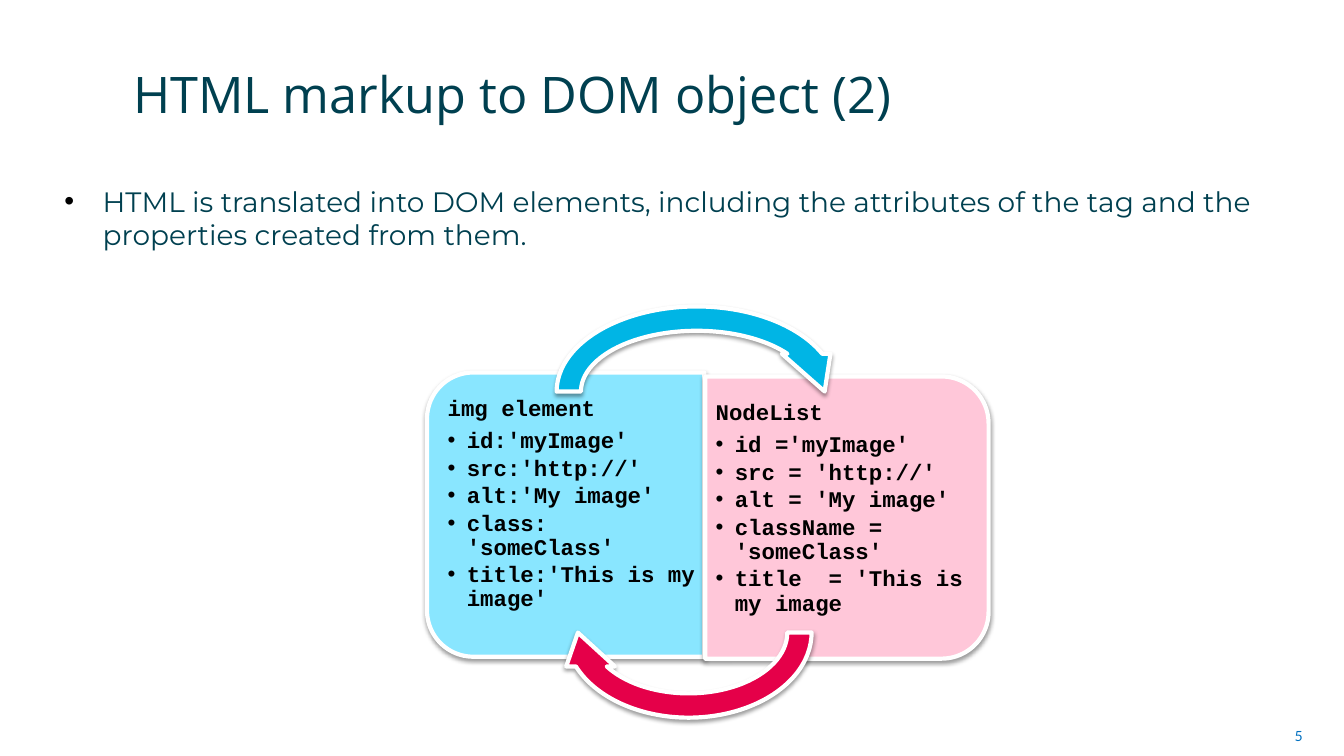
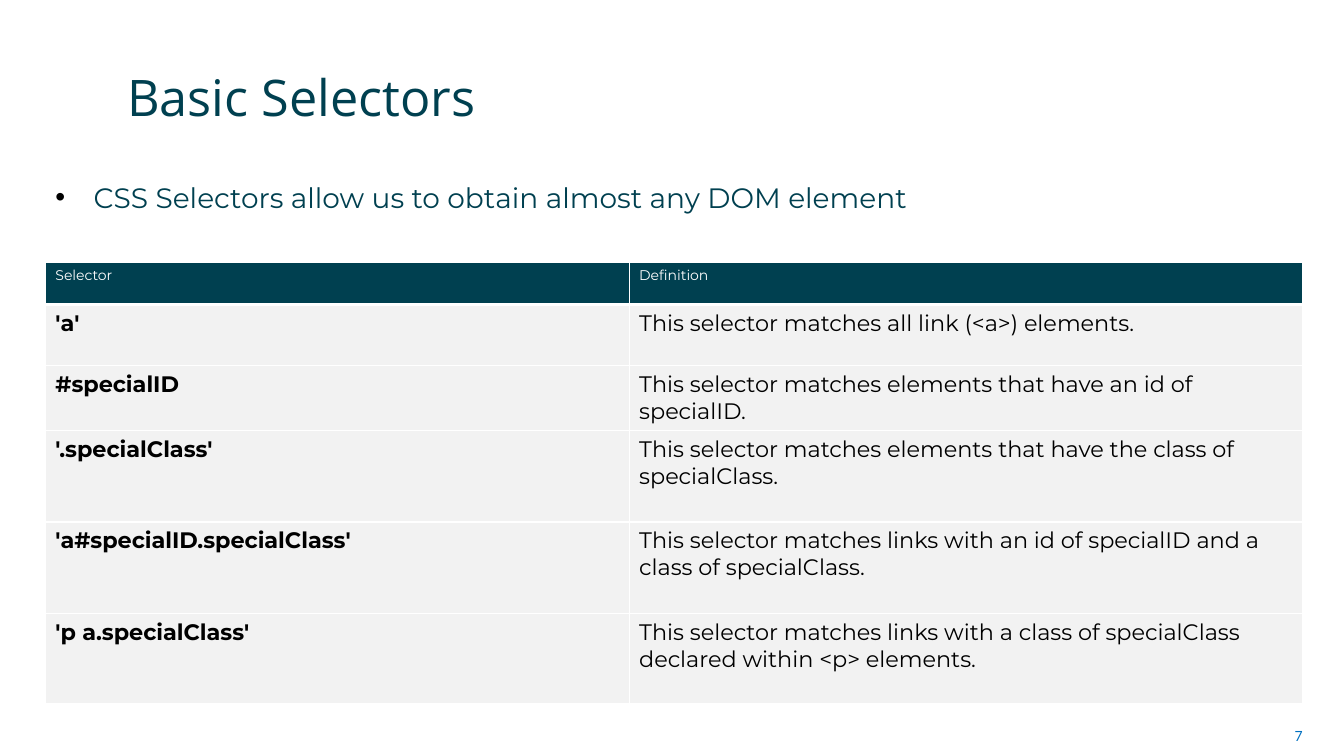
import pptx
import pptx.util
import pptx.dml.color
import pptx.enum.shapes
import pptx.enum.text
import pptx.oxml
import pptx.oxml.ns

Inches = pptx.util.Inches
Pt = pptx.util.Pt
SHAPE = pptx.enum.shapes.MSO_SHAPE
ALIGN = pptx.enum.text.PP_ALIGN
ANCHOR = pptx.enum.text.MSO_ANCHOR
NAMESPACE = pptx.oxml.ns.nsdecls("a")

TEAL = "004050"
WHITE = "FFFFFF"
BLACK = "000000"
LINK_BLUE = "0070C0"
PALE_GRAY = "F2F2F2"
PALE_CYAN = "89E6FF"
PALE_PINK = "FFC7D9"
CYAN = "00B5E5"
CRIMSON = "E50049"

ELEMENT_ATTRIBUTES = [
    "id:'myImage'", "src:'http://'", "alt:'My image'",
    "class: 'someClass'", "title:'This is my image'",
]
NODE_PROPERTIES = [
    "id ='myImage'", "src = 'http://'", "alt = 'My image'",
    "className = 'someClass'", "title  = 'This is my image",
]
SELECTORS = [
    ("Selector", "Definition"),
    ("'a'", "This selector matches all link (<a>) elements."),
    ("#specialID", "This selector matches elements that have an id of specialID."),
    ("'.specialClass'", "This selector matches elements that have the class of specialClass."),
    ("'a#specialID.specialClass'",
     "This selector matches links with an id of specialID and a class of specialClass."),
    ("'p a.specialClass'",
     "This selector matches links with a class of specialClass declared within <p> elements."),
]


def rgb(color):
    return pptx.dml.color.RGBColor.from_string(color)


def append_xml(parent, xml):
    parent.append(pptx.oxml.parse_xml(xml))


def write(paragraph, text, font="Montserrat", size=16, color=BLACK, bold=False,
          align=ALIGN.LEFT, line=None, before=0, after=0, bullet_indent=None):
    run = paragraph.add_run()
    run.text = text
    run.font.name = font
    run.font.size = Pt(size)
    run.font.bold = bold
    run.font.color.rgb = rgb(color)
    paragraph.alignment = align
    paragraph.line_spacing = line
    paragraph.space_before = Pt(before)
    paragraph.space_after = Pt(after)
    if bullet_indent:
        properties = paragraph._p.get_or_add_pPr()
        properties.set("marL", str(Inches(bullet_indent)))
        properties.set("indent", str(-Inches(bullet_indent)))
        append_xml(properties, f'<a:buClr {NAMESPACE}><a:srgbClr val="{BLACK}"/></a:buClr>')
        append_xml(properties, f'<a:buFont {NAMESPACE} typeface="Arial"/>')
        append_xml(properties, f'<a:buChar {NAMESPACE} char="•"/>')


def add_text_frame(slide, box, margins=(0.1, 0.05, 0.1, 0.05)):
    frame = slide.shapes.add_textbox(*map(Inches, box)).text_frame
    frame.word_wrap = True
    (frame.margin_left, frame.margin_top,
     frame.margin_right, frame.margin_bottom) = map(Inches, margins)
    return frame


def add_titled_slide(deck, title, title_box, statement, statement_box, number):
    slide = deck.slides.add_slide(deck.slide_layouts[5])
    heading = slide.shapes.title
    heading.left, heading.top, heading.width, heading.height = map(Inches, title_box)
    frame = heading.text_frame
    frame.auto_size = pptx.enum.text.MSO_AUTO_SIZE.NONE
    frame.vertical_anchor = ANCHOR.BOTTOM
    write(frame.paragraphs[0], title, font="Open Sans", size=36, color=TEAL)

    body = add_text_frame(slide, statement_box)
    write(body.paragraphs[0], statement, size=20, color=TEAL,
          before=6, after=6, bullet_indent=0.38)

    footer = add_text_frame(slide, (9.91, 7.1, 3.11, 0.4))
    footer.vertical_anchor = ANCHOR.MIDDLE
    write(footer.paragraphs[0], number, font="Lato", size=10, color=LINK_BLUE,
          align=ALIGN.RIGHT)
    return slide


def add_raised_shape(slide, kind, box, color, rotation=0):
    shape = slide.shapes.add_shape(kind, *map(Inches, box))
    shape.rotation = rotation
    shape.fill.solid()
    shape.fill.fore_color.rgb = rgb(color)
    shape.line.color.rgb = rgb(WHITE)
    shape.line.width = Pt(3)
    shape.shadow.inherit = False
    effects = shape._element.spPr.find(pptx.oxml.ns.qn("a:effectLst"))
    append_xml(effects, (
        f'<a:outerShdw {NAMESPACE} blurRad="{Pt(3.1)}" dist="{Pt(1.6)}" dir="5400000" '
        f'rotWithShape="0"><a:srgbClr val="{BLACK}"><a:alpha val="38000"/>'
        '</a:srgbClr></a:outerShdw>'))


def add_code_list(slide, box, margins, heading, items):
    frame = add_text_frame(slide, box, margins)
    code = {"font": "Courier New", "bold": True, "line": 0.9}
    write(frame.paragraphs[0], heading, after=5.6, **code)
    for item in items:
        write(frame.add_paragraph(), item, after=2.4, bullet_indent=0.19, **code)


def set_borders(cell, bottom=1):
    properties = cell._tc.get_or_add_tcPr()
    widths = {"lnL": 1, "lnR": 1, "lnT": 1, "lnB": bottom}
    for position, (side, width) in enumerate(widths.items()):
        properties.insert(position, pptx.oxml.parse_xml(
            f'<a:{side} {NAMESPACE} w="{Pt(width)}"><a:solidFill>'
            f'<a:srgbClr val="{WHITE}"/></a:solidFill></a:{side}>'))


def add_selector_table(slide, box, column_widths, row_heights):
    table = slide.shapes.add_table(
        len(row_heights), len(column_widths), *map(Inches, box)).table
    table.horz_banding = False
    for column, width in zip(table.columns, column_widths):
        column.width = Inches(width)
    for row_index, (row, height) in enumerate(zip(table.rows, row_heights)):
        row.height = Inches(height)
        header = row_index == 0
        for column_index, cell in enumerate(row.cells):
            cell.fill.solid()
            cell.fill.fore_color.rgb = rgb(TEAL if header else PALE_GRAY)
            set_borders(cell, bottom=3 if header else 1)
            write(cell.text_frame.paragraphs[0], SELECTORS[row_index][column_index],
                  size=10 if header else 16, color=WHITE if header else BLACK,
                  bold=not header and column_index == 0)


def build_dom_slide(deck):
    slide = add_titled_slide(
        deck, "HTML markup to DOM object (2)", (1.22, 0.37, 10.29, 0.91),
        "HTML is translated into DOM elements, including the attributes of the tag "
        "and the properties created from them.", (0.54, 1.78, 12.47, 4.97), "5")
    panel = SHAPE.ROUND_2_SAME_RECTANGLE
    add_raised_shape(slide, panel, (4.2, 3.73, 2.82, 2.75), PALE_CYAN, 270)
    add_code_list(slide, (4.37, 3.83, 2.62, 2.55), (0.07, 0.11, 0.1, 0.11),
                  "img element", ELEMENT_ATTRIBUTES)
    add_raised_shape(slide, panel, (7, 3.73, 2.8, 2.81), PALE_PINK, 90)
    add_code_list(slide, (7, 3.87, 2.67, 2.52), (0.1, 0.11, 0.07, 0.11),
                  "NodeList", NODE_PROPERTIES)
    add_raised_shape(slide, SHAPE.CIRCULAR_ARROW, (5.4, 2.92, 3.02, 1.93), CYAN)
    add_raised_shape(slide, SHAPE.CIRCULAR_ARROW, (5.49, 5.31, 2.68, 1.93), CRIMSON, 180)


def build_selectors_slide(deck):
    slide = add_titled_slide(
        deck, "Basic Selectors", (1.16, 0.28, 10.75, 1.03),
        "CSS Selectors allow us to obtain almost any DOM element",
        (0.45, 1.74, 12.47, 4.97), "7")
    add_selector_table(slide, (0.45, 2.6, 12.47, 4.38), (5.79, 6.68),
                       (0.42, 0.61, 0.64, 0.91, 0.91, 0.89))


def main():
    deck = pptx.Presentation()
    deck.slide_width = Inches(13.33)
    deck.slide_height = Inches(7.5)
    build_dom_slide(deck)
    build_selectors_slide(deck)
    deck.save("out.pptx")


if __name__ == "__main__":
    main()
